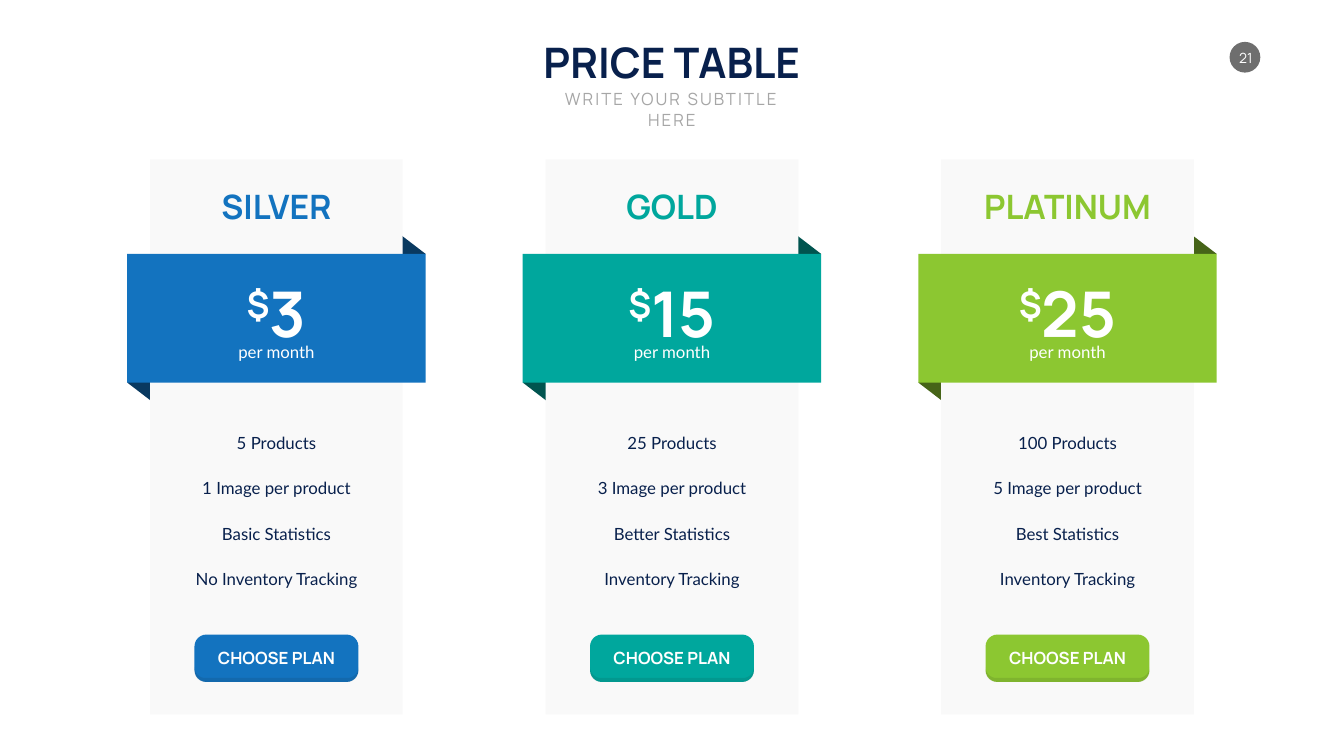
from math import cos, pi, sin

from lxml.etree import SubElement
from pptx import Presentation
from pptx.dml.color import RGBColor
from pptx.enum.shapes import MSO_SHAPE
from pptx.enum.text import MSO_ANCHOR, MSO_AUTO_SIZE, PP_ALIGN
from pptx.oxml.ns import qn
from pptx.util import Cm, Pt

COLORS = {
    "navy": "08204C", "grey": "A6A6A6", "badge": "6E6E6E", "white": "FFFFFF",
    "card": "F9F9F9", "shade": "161616",
    "blue": "1373BF", "blue fold": "093960",
    "teal": "00A79D", "teal fold": "00544F",
    "green": "8CC731", "green fold": "466418",
}
HEADING, BODY = "Manrope", "Lato"

# name, name width, price, price width, color, features
PLANS = [
    ("SILVER", 6.17, "3", 3.86, "blue",
     ["5 Products", "1 Image per product", "Basic Statistics", "No Inventory Tracking"]),
    ("GOLD", 5.21, "15", 5.21, "teal",
     ["25 Products", "3 Image per product", "Better Statistics", "Inventory Tracking"]),
    ("PLATINUM", 9.25, "25", 5.84, "green",
     ["100 Products", "5 Image per product", "Best Statistics", "Inventory Tracking"]),
]
FIRST_CENTER, PLAN_PITCH = 13.93, 19.93
RIBBON_TOP, RIBBON_WIDTH, RIBBON_HEIGHT = 12.8, 15.04, 6.48
FOLD_WIDTH, FOLD_RISE, FOLD_TUCK = 1.76, 1.35, 0.82
BUTTON_TOP, BUTTON_WIDTH, BUTTON_HEIGHT = 31.98, 8.26, 2.39
CORNER, SHADE_DEPTH = 0.55, 0.2
FEATURE_TOP, FEATURE_PITCH = 21.51, 2.29


class PriceSlide:
    def __init__(self, slide):
        self.slide = slide

    def paint(self, shape, color, alpha=None):
        shape.shadow.inherit = False
        shape.fill.solid()
        shape.fill.fore_color.rgb = RGBColor.from_string(COLORS[color])
        shape.line.fill.background()
        if alpha is not None:
            rgb = shape.fill._xPr.find(".//" + qn("a:srgbClr"))
            SubElement(rgb, qn("a:alpha"), val=str(alpha * 1000))

    def block(self, kind, center, top, width, height, color):
        shape = self.slide.shapes.add_shape(
            kind, Cm(center - width / 2), Cm(top), Cm(width), Cm(height))
        self.paint(shape, color)
        return shape

    def outline(self, points, color, alpha=None):
        start, *rest = [(Cm(x), Cm(y)) for x, y in points]
        builder = self.slide.shapes.build_freeform(*start)
        builder.add_line_segments(rest, close=True)
        self.paint(builder.convert_to_shape(), color, alpha)

    def style(self, run, size, color, font, bold=False):
        run.font.size = Pt(size)
        run.font.name = font
        run.font.bold = bold
        run.font.color.rgb = RGBColor.from_string(COLORS[color])

    def text(self, words, center, top, width, height, size, color, font=HEADING,
             bold=False, wrap=False, anchor=MSO_ANCHOR.MIDDLE):
        box = self.slide.shapes.add_textbox(
            Cm(center - width / 2), Cm(top), Cm(width), Cm(height))
        frame = box.text_frame
        frame.text = words
        frame.word_wrap = wrap
        frame.auto_size = MSO_AUTO_SIZE.SHAPE_TO_FIT_TEXT
        frame.vertical_anchor = anchor
        paragraph = frame.paragraphs[0]
        paragraph.alignment = PP_ALIGN.CENTER
        self.style(paragraph.runs[0], size, color, font, bold)
        return frame

    def header(self):
        middle = 33.85
        self.text("PRICE TABLE", middle, 1.7, 13.54, 2.82, 60, "navy",
                  bold=True, anchor=MSO_ANCHOR.TOP)
        subtitle = self.text("WRITE YOUR SUBTITLE HERE", middle, 4.37, 13.79, 1.27,
                             24, "grey", wrap=True, anchor=MSO_ANCHOR.TOP)
        subtitle.paragraphs[0].runs[0].font._element.set("spc", "300")

    def page_badge(self, number):
        self.block(MSO_SHAPE.OVAL, 62.73, 2.11, 1.55, 1.55, "badge")
        frame = self.text(number, 62.78, 2.51, 1.04, 0.86, 20, "white")
        frame.margin_left = frame.margin_right = 0
        frame.margin_top = frame.margin_bottom = 0

    def ribbon_folds(self, center, color):
        left, right = center - RIBBON_WIDTH / 2, center + RIBBON_WIDTH / 2
        bottom = RIBBON_TOP + RIBBON_HEIGHT
        for edge, inner, y, way in (
                (left, left + FOLD_WIDTH, bottom, 1),
                (right, right - FOLD_WIDTH, RIBBON_TOP, -1)):
            self.outline([(edge, y), (inner, y + way * FOLD_RISE),
                          (inner, y - way * FOLD_TUCK)], color)

    def button(self, center, color):
        button = self.block(MSO_SHAPE.ROUNDED_RECTANGLE, center, BUTTON_TOP,
                            BUTTON_WIDTH, BUTTON_HEIGHT, color)
        button.adjustments[0] = 0.25
        # Darker lower lip: the rounded bottom edge and the same edge moved up
        reach = BUTTON_WIDTH / 2 - CORNER
        base = BUTTON_TOP + BUTTON_HEIGHT - CORNER
        angles = [step * pi / 16 for step in range(17)]
        edge = [(center + (reach if angle <= pi / 2 else -reach) + CORNER * cos(angle),
                 base + CORNER * sin(angle)) for angle in angles]
        upper = [(x, y - SHADE_DEPTH) for x, y in reversed(edge)]
        self.outline(edge + upper, "shade", alpha=10)

    def price(self, amount, center, width):
        frame = self.text("$", center, 13.69, width, 4.11, 90, "white", bold=True)
        paragraph = frame.paragraphs[0]
        paragraph.runs[0].font._element.set("baseline", "30000")
        figure = paragraph.add_run()
        figure.text = amount
        self.style(figure, 90, "white", HEADING, bold=True)

    def plan(self, center, name, name_width, amount, price_width, color, features):
        # Card, ribbon and button
        self.ribbon_folds(center, color + " fold")
        self.block(MSO_SHAPE.RECTANGLE, center, 8.03, 12.73, 27.97, "card")
        self.button(center, color)
        self.block(MSO_SHAPE.RECTANGLE, center, RIBBON_TOP, RIBBON_WIDTH,
                   RIBBON_HEIGHT, color)

        # Name, features, price and call to action
        self.text(name, center, 9.25, name_width, 2.31, 48, color, bold=True)
        for row, feature in enumerate(features):
            frame = self.text(feature, center, FEATURE_TOP + row * FEATURE_PITCH,
                              10.52, 1.37, 24, "navy", BODY, wrap=True)
            frame.paragraphs[0].line_spacing = Pt(35)
        self.price(amount, center, price_width)
        self.text("per month", center, 17.09, 4.37, 1.27, 24, "white", BODY)
        self.text("CHOOSE PLAN", center, 32.54, 6.53, 1.27, 24, "white", bold=True)


def main():
    deck = Presentation()
    deck.slide_width, deck.slide_height = Cm(67.72), Cm(38.1)
    price_slide = PriceSlide(deck.slides.add_slide(deck.slide_layouts[6]))
    price_slide.page_badge("21")
    price_slide.header()
    for column, plan in enumerate(PLANS):
        price_slide.plan(FIRST_CENTER + column * PLAN_PITCH, *plan)
    deck.save("out.pptx")


if __name__ == "__main__":
    main()
